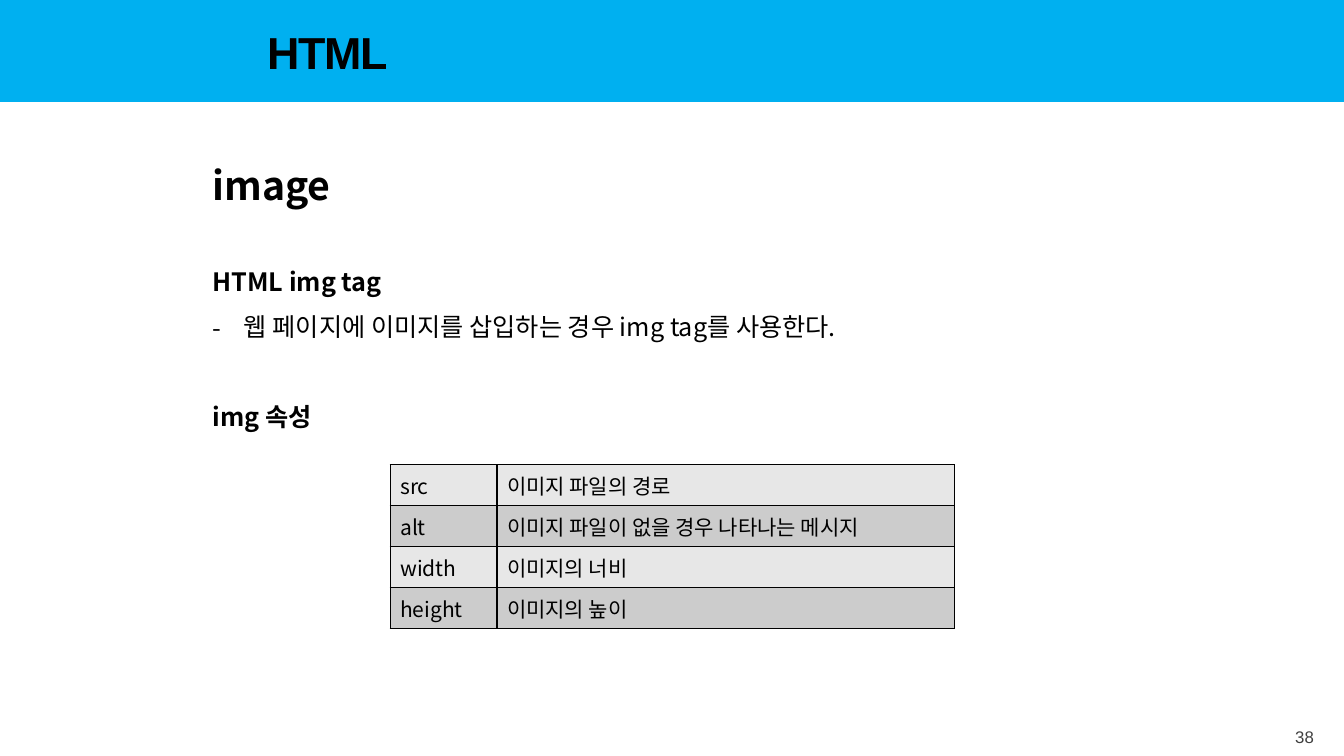
from lxml.etree import SubElement
from pptx import Presentation
from pptx.dml.color import RGBColor
from pptx.enum.shapes import MSO_SHAPE
from pptx.enum.text import MSO_ANCHOR, PP_ALIGN
from pptx.oxml.ns import qn
from pptx.util import Inches, Pt

BLACK = RGBColor(0x00, 0x00, 0x00)
GREY = RGBColor(0x40, 0x40, 0x40)
SKY = RGBColor(0x00, 0xB0, 0xF0)
BANDS = RGBColor(0xE7, 0xE7, 0xE7), RGBColor(0xCC, 0xCC, 0xCC)
LATIN, KOREAN = "Arial", "Noto Sans CJK KR"


class Page:
    def __init__(self, deck):
        self.width, self.height = deck.slide_width, deck.slide_height
        self.slide = deck.slides.add_slide(deck.slide_layouts[6])

    def x(self, percent):
        return round(self.width * percent / 100)

    def y(self, percent):
        return round(self.height * percent / 100)

    def area(self, left, top, width, height):
        return self.x(left), self.y(top), self.x(width), self.y(height)

    def bar(self, area, color):
        band = self.slide.shapes.add_shape(MSO_SHAPE.RECTANGLE, *self.area(*area))
        band.shadow.inherit = False
        band.fill.solid()
        band.fill.fore_color.rgb = color
        band.line.fill.background()

    def add_words(self, paragraph, words, size, face=KOREAN, color=BLACK, bold=False, tracking=0):
        run = paragraph.add_run()
        run.text = words
        run.font.size = Pt(size)
        run.font.name = face
        run.font.bold = bold
        run.font.color.rgb = color
        properties = run.font._element
        SubElement(properties, qn("a:ea")).set("typeface", face)
        if tracking:
            properties.set("spc", str(tracking * 100))

    def box(self, area, wrap=True, inset=None):
        frame = self.slide.shapes.add_textbox(*self.area(*area)).text_frame
        frame.word_wrap = wrap
        if inset is not None:
            frame.margin_left = frame.margin_right = Inches(inset)
            frame.margin_top = frame.margin_bottom = Inches(inset)
        return frame

    def line(self, area, words, size, align=PP_ALIGN.LEFT, wrap=True, inset=None, **style):
        paragraph = self.box(area, wrap, inset).paragraphs[0]
        paragraph.alignment = align
        self.add_words(paragraph, words, size, **style)

    def outline(self, area, entries, size):
        frame = self.box(area)
        for index, (words, dashed, gap) in enumerate(entries):
            paragraph = frame.add_paragraph() if index else frame.paragraphs[0]
            paragraph.line_spacing = 1.5
            if gap:
                paragraph.space_before = Pt(gap)
            if dashed:
                properties = paragraph._p.get_or_add_pPr()
                properties.set("marL", str(Inches(0.31)))
                properties.set("indent", str(-Inches(0.31)))
                SubElement(properties, qn("a:buFont")).set("typeface", KOREAN)
                SubElement(properties, qn("a:buChar")).set("char", "-")
            self.add_words(paragraph, words, size, bold=not dashed)

    def border(self, cell):
        properties = cell._tc.get_or_add_tcPr()
        for side in ("lnL", "lnR", "lnT", "lnB"):
            edge = SubElement(properties, qn(f"a:{side}"), w=str(Pt(1)))
            fill = SubElement(edge, qn("a:solidFill"))
            SubElement(fill, qn("a:srgbClr"), val=str(BLACK))

    def table(self, left, top, widths, row_height, rows, size):
        area = self.area(left, top, sum(widths), row_height * len(rows))
        grid = self.slide.shapes.add_table(len(rows), len(widths), *area).table
        grid.first_row = grid.horz_banding = False
        for column, width in zip(grid.columns, widths):
            column.width = self.x(width)
        for index, (row, values) in enumerate(zip(grid.rows, rows)):
            row.height = self.y(row_height)
            for cell, words in zip(row.cells, values):
                self.border(cell)
                cell.fill.solid()
                cell.fill.fore_color.rgb = BANDS[index % 2]
                cell.vertical_anchor = MSO_ANCHOR.MIDDLE
                self.add_words(cell.text_frame.paragraphs[0], words, size)


def main():
    deck = Presentation()
    deck.slide_width, deck.slide_height = Inches(13.33), Inches(7.5)
    page = Page(deck)
    page.line((95.42, 95.47, 3.08, 4), "38", 12, align=PP_ALIGN.RIGHT, wrap=False,
              face=LATIN, color=GREY)
    page.bar((0, 0, 100, 13.47), SKY)
    page.line((19.13, 2.67, 57.91, 8.53), "HTML", 32, face=LATIN, bold=True, tracking=-1)
    page.line((15.08, 20, 69.92, 8.4), "image", 28, inset=0.1, bold=True)
    page.outline((15.08, 32.53, 74.19, 24.8), [
        ("HTML img tag", False, 0),
        ("웹 페이지에 이미지를 삽입하는 경우 img tag를 사용한다.", True, 0),
        ("img 속성", False, 32),
    ], 18)
    attributes = [
        ("src", "이미지 파일의 경로"),
        ("alt", "이미지 파일이 없을 경우 나타나는 메시지"),
        ("width", "이미지의 너비"),
        ("height", "이미지의 높이"),
    ]
    page.table(29.03, 61.47, (7.95, 34.06), 5.42, attributes, 15)
    deck.save("out.pptx")


if __name__ == "__main__":
    main()
